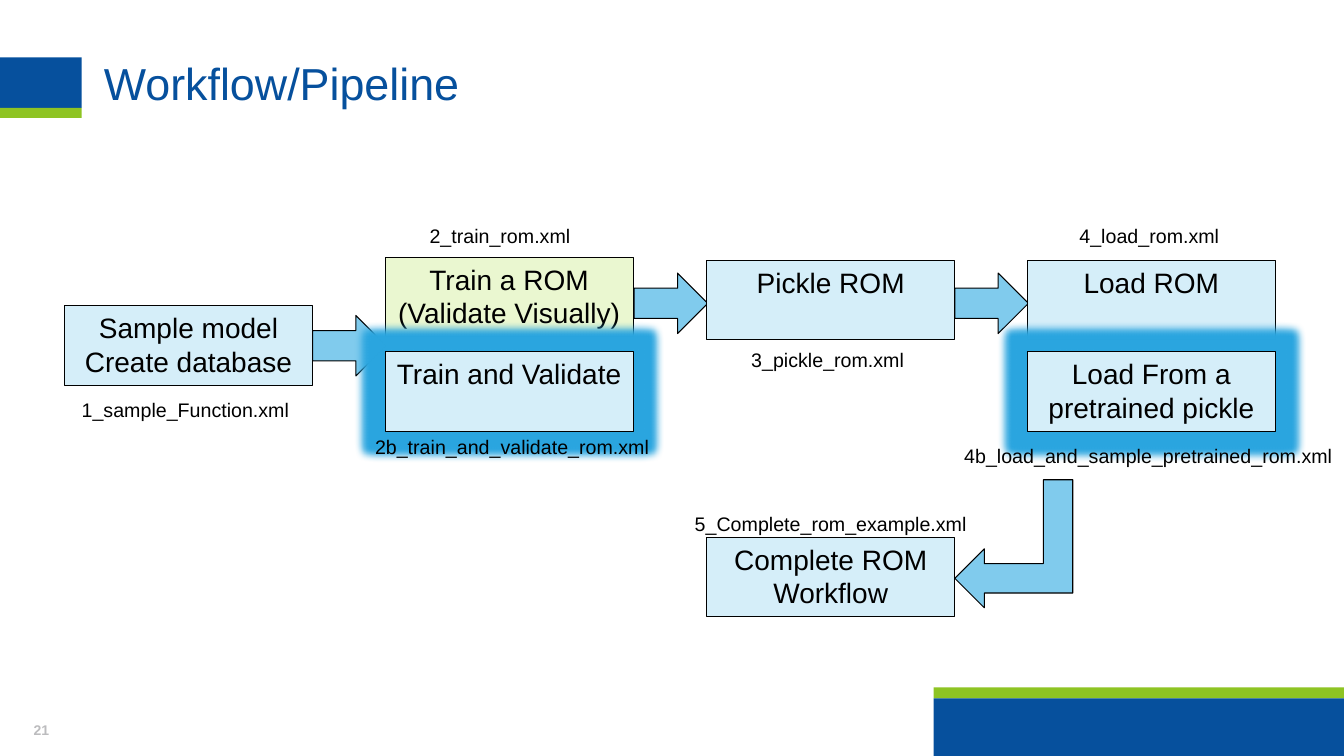
import pptx
import pptx.dml.color
import pptx.enum.shapes
import pptx.enum.text
import pptx.oxml
import pptx.oxml.ns
import pptx.util

Inches = pptx.util.Inches
Pt = pptx.util.Pt
RGBColor = pptx.dml.color.RGBColor
SHAPE = pptx.enum.shapes.MSO_SHAPE
ALIGN = pptx.enum.text.PP_ALIGN
ANCHOR = pptx.enum.text.MSO_ANCHOR

BLUE = RGBColor(0x06, 0x50, 0x9D)
GREEN = RGBColor(0x8E, 0xC4, 0x23)
PALE_BLUE = RGBColor(0xD5, 0xEE, 0xF9)
PALE_GREEN = RGBColor(0xEA, 0xF7, 0xD0)
ARROW_BLUE = RGBColor(0x80, 0xCB, 0xED)
GLOW_BLUE = RGBColor(0x2B, 0xA6, 0xE0)
GRAY = RGBColor(0xBC, 0xBC, 0xBE)
BLACK = RGBColor(0, 0, 0)

STEP_WIDTH, STEP_HEIGHT = 2.46, 0.79
ARROW_WIDTH, ARROW_HEIGHT = 0.73, 0.6
GLOW_RADIUS = Pt(11)

# left, top, text, fill, glowing
STEPS = [
    (0.64, 3.03, "Sample model Create database", PALE_BLUE, False),
    (7.01, 2.58, "Pickle ROM", PALE_BLUE, False),
    (3.82, 2.55, "Train a ROM\n(Validate Visually)", PALE_GREEN, False),
    (10.19, 2.58, "Load ROM", PALE_BLUE, False),
    (3.82, 3.49, "Train and Validate", PALE_BLUE, True),
    (10.19, 3.49, "Load From a pretrained pickle", PALE_BLUE, True),
    (7.01, 5.33, "Complete ROM Workflow", PALE_BLUE, False),
]
# left, top
ARROWS = [(3.1, 3.13), (6.29, 2.71), (9.47, 2.71)]
# centre, top, width, text
FILE_LABELS = [
    (1.84, 3.9, 2.46, "1_sample_Function.xml"),
    (4.96, 2.17, 2.46, "2_train_rom.xml"),
    (5.08, 4.27, 2.93, "2b_train_and_validate_rom.xml"),
    (8.21, 3.4, 2.93, "3_pickle_rom.xml"),
    (11.4, 2.17, 2.93, "4_load_rom.xml"),
    (11.39, 4.35, 3.88, "4b_load_and_sample_pretrained_rom.xml"),
    (8.24, 5.03, 2.93, "5_Complete_rom_example.xml"),
]


def format_text(frame, size, color, align=ALIGN.CENTER, bold=False):
    frame.word_wrap = True
    for para in frame.paragraphs:
        para.alignment = align
        for span in para.runs:
            span.font.name = "Arial"
            span.font.size = Pt(size)
            span.font.bold = bold
            span.font.color.rgb = color


def add_filled(slide, kind, left, top, width, height, fill, outlined=True):
    shape = slide.shapes.add_shape(
        kind, Inches(left), Inches(top), Inches(width), Inches(height))
    shape.shadow.inherit = False
    shape.fill.solid()
    shape.fill.fore_color.rgb = fill
    if outlined:
        shape.line.color.rgb = BLACK
        shape.line.width = Pt(0.75)
    else:
        shape.line.fill.background()
    return shape


def add_glow(shape):
    effects = shape._element.spPr.find(pptx.oxml.ns.qn("a:effectLst"))
    effects.append(pptx.oxml.parse_xml(
        f'<a:glow {pptx.oxml.ns.nsdecls("a")} rad="{GLOW_RADIUS}">'
        f'<a:srgbClr val="{GLOW_BLUE}"/></a:glow>'))


def add_bars(slide, left, top, width, bars):
    """Stack coloured bars, given as (height, colour), from the top down."""
    for height, color in bars:
        add_filled(slide, SHAPE.RECTANGLE, left, top, width, height, color, outlined=False)
        top += height


def add_title(slide, left, top, width, height):
    title = slide.shapes.title
    title.left, title.top = Inches(left), Inches(top)
    title.width, title.height = Inches(width), Inches(height)
    frame = title.text_frame
    frame.text = "Workflow/Pipeline"
    frame.auto_size = pptx.enum.text.MSO_AUTO_SIZE.NONE
    frame.vertical_anchor = ANCHOR.TOP
    frame.margin_left = frame.margin_top = 0
    frame.paragraphs[0].line_spacing = 0.9
    format_text(frame, 32, BLUE, ALIGN.LEFT)


def add_text(slide, left, top, width, height, text, size, color, bold=False):
    box = slide.shapes.add_textbox(
        Inches(left), Inches(top), Inches(width), Inches(height))
    box.text_frame.text = text
    format_text(box.text_frame, size, color, bold=bold)
    return box


def add_step(slide, left, top, text, fill, glowing):
    step = add_filled(slide, SHAPE.RECTANGLE, left, top, STEP_WIDTH, STEP_HEIGHT, fill)
    step.text_frame.text = text
    step.text_frame.vertical_anchor = ANCHOR.TOP
    format_text(step.text_frame, 20, BLACK)
    if glowing:
        add_glow(step)


def add_return_arrow(slide, left, top, width, height):
    arrow = add_filled(slide, SHAPE.BENT_UP_ARROW, left, top, width, height, ARROW_BLUE)
    arrow.rotation = 270
    arrow._element.spPr.xfrm.set("flipH", "1")


def add_workflow(slide):
    for left, top in ARROWS:
        add_filled(slide, SHAPE.RIGHT_ARROW, left, top, ARROW_WIDTH, ARROW_HEIGHT, ARROW_BLUE)
    add_return_arrow(slide, 9.42, 4.81, 1.27, 1.17)
    for step in STEPS:
        add_step(slide, *step)
    for center, top, width, text in FILE_LABELS:
        add_text(slide, center - width / 2, top, width, 0.34, text, 14, BLACK)


def add_page_number(slide, left, top, width, height):
    number = add_text(slide, left, top, width, height, "21", 10, GRAY, bold=True)
    number.text_frame.vertical_anchor = ANCHOR.MIDDLE
    number.text_frame.margin_bottom = Inches(0.17)


def main():
    deck = pptx.Presentation()
    deck.slide_width, deck.slide_height = Inches(13.33), Inches(7.5)
    slide = deck.slides.add_slide(deck.slide_layouts[5])
    add_bars(slide, 9.26, 6.82, 4.07, [(0.11, GREEN), (0.57, BLUE)])
    add_bars(slide, 0, 0.57, 0.81, [(0.5, BLUE), (0.1, GREEN)])
    add_title(slide, 1.03, 0.61, 11.39, 1.1)
    add_page_number(slide, 0.17, 7.1, 0.48, 0.4)
    add_workflow(slide)
    deck.save("out.pptx")


if __name__ == "__main__":
    main()
